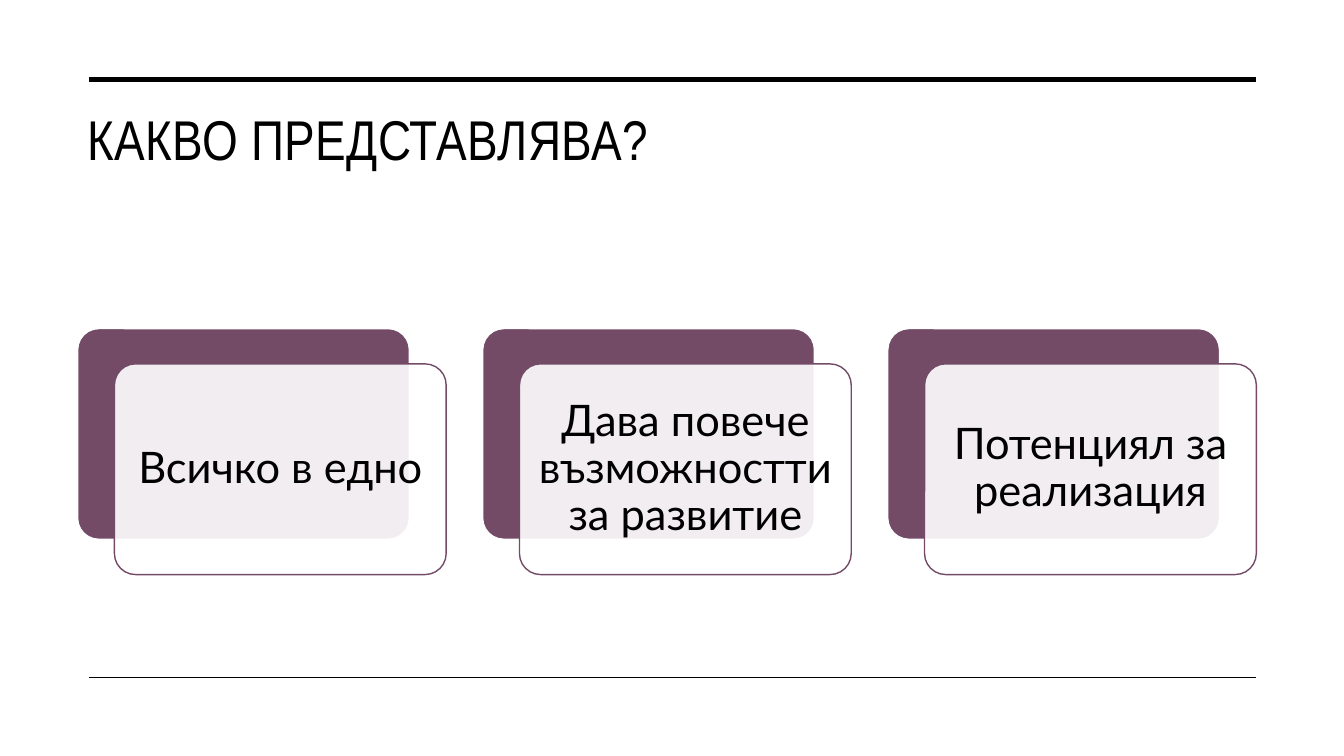
from lxml import etree
from pptx import Presentation
from pptx.dml.color import RGBColor
from pptx.enum.shapes import MSO_CONNECTOR, MSO_SHAPE
from pptx.enum.text import MSO_ANCHOR, MSO_AUTO_SIZE, PP_ALIGN
from pptx.oxml.ns import qn
from pptx.util import Inches, Pt

ROUNDED = MSO_SHAPE.ROUNDED_RECTANGLE
STRAIGHT = MSO_CONNECTOR.STRAIGHT
TOP, MIDDLE = MSO_ANCHOR.TOP, MSO_ANCHOR.MIDDLE
LEFT, CENTER = PP_ALIGN.LEFT, PP_ALIGN.CENTER
NO_AUTOFIT = MSO_AUTO_SIZE.NONE

COLORS = {"ink": "000000", "paper": "FFFFFF", "plum": "734B67"}
TITLE_FONT, BODY_FONT = "Arial Narrow", "Lato"

# Grid, in inches
SLIDE_W, SLIDE_H = 13.33, 7.5
GRID_LEFT, GRID_RIGHT = 0.77, 12.46
RULE_LEFT = 0.88
CARD_W, CARD_H = 3.29, 2.09
OFFSET_X, OFFSET_Y = 0.365, 0.35
CARD_TOP = 3.26

IDEAS = ["Всичко в едно", "Дава повече възможностти за развитие",
         "Потенциял за реализация"]
COLUMN_STEP = (GRID_RIGHT - GRID_LEFT - CARD_W - OFFSET_X) / (len(IDEAS) - 1)


def color(name):
    return RGBColor.from_string(COLORS[name])


class IdeaSlide:
    def __init__(self, deck):
        self.slide = deck.slides.add_slide(deck.slide_layouts[5])

    def style_text(self, frame, font, size, align, anchor):
        frame.word_wrap = True
        frame.auto_size = NO_AUTOFIT
        frame.vertical_anchor = anchor
        paragraph = frame.paragraphs[0]
        paragraph.alignment = align
        for run in paragraph.runs:
            run.font.name = font
            run.font.size = Pt(size)
            run.font.color.rgb = color("ink")
        return paragraph

    def title(self, text):
        heading = self.slide.shapes.title
        heading.left, heading.top = Inches(GRID_LEFT), Inches(0.99)
        heading.width, heading.height = Inches(GRID_RIGHT - GRID_LEFT), Inches(1.26)
        heading.text_frame.text = text
        paragraph = self.style_text(heading.text_frame, TITLE_FONT, 40, LEFT, TOP)
        paragraph.runs[0].font._element.set("spc", "30")

    def rule(self, y, weight):
        rule = self.slide.shapes.add_connector(
            STRAIGHT, Inches(RULE_LEFT), Inches(y), Inches(GRID_RIGHT), Inches(y))
        rule.line.color.rgb = color("ink")
        rule.line.width = Pt(weight)
        etree.SubElement(rule._element.spPr, qn("a:effectLst"))

    def panel(self, x, y, fill, outline):
        panel = self.slide.shapes.add_shape(
            ROUNDED, Inches(x), Inches(y), Inches(CARD_W), Inches(CARD_H))
        panel.adjustments[0] = 0.1
        panel.shadow.inherit = False
        panel.fill.solid()
        panel.fill.fore_color.rgb = color(fill)
        panel.line.color.rgb = color(outline)
        panel.line.width = Pt(1)
        return panel

    def card(self, column, text):
        x = GRID_LEFT + column * COLUMN_STEP
        self.panel(x, CARD_TOP, "plum", "paper")
        front = self.panel(x + OFFSET_X, CARD_TOP + OFFSET_Y, "paper", "plum")
        # Slightly translucent front
        tint = front._element.spPr.find(qn("a:solidFill"))[0]
        etree.SubElement(tint, qn("a:alpha"), val="90000")
        frame = front.text_frame
        frame.margin_left = frame.margin_right = Inches(0.12)
        frame.margin_top = frame.margin_bottom = Inches(0.12)
        frame.text = text
        paragraph = self.style_text(frame, BODY_FONT, 31, CENTER, MIDDLE)
        paragraph.line_spacing = 0.9


def main():
    deck = Presentation()
    deck.slide_width, deck.slide_height = Inches(SLIDE_W), Inches(SLIDE_H)
    page = IdeaSlide(deck)

    # Heading between the rules
    page.title("КАКВО ПРЕДСТАВЛЯВА?")
    page.rule(0.79, 3.5)
    page.rule(6.72, 1)

    # One layered card per idea
    for column, idea in enumerate(IDEAS):
        page.card(column, idea)

    deck.save("out.pptx")


if __name__ == "__main__":
    main()
